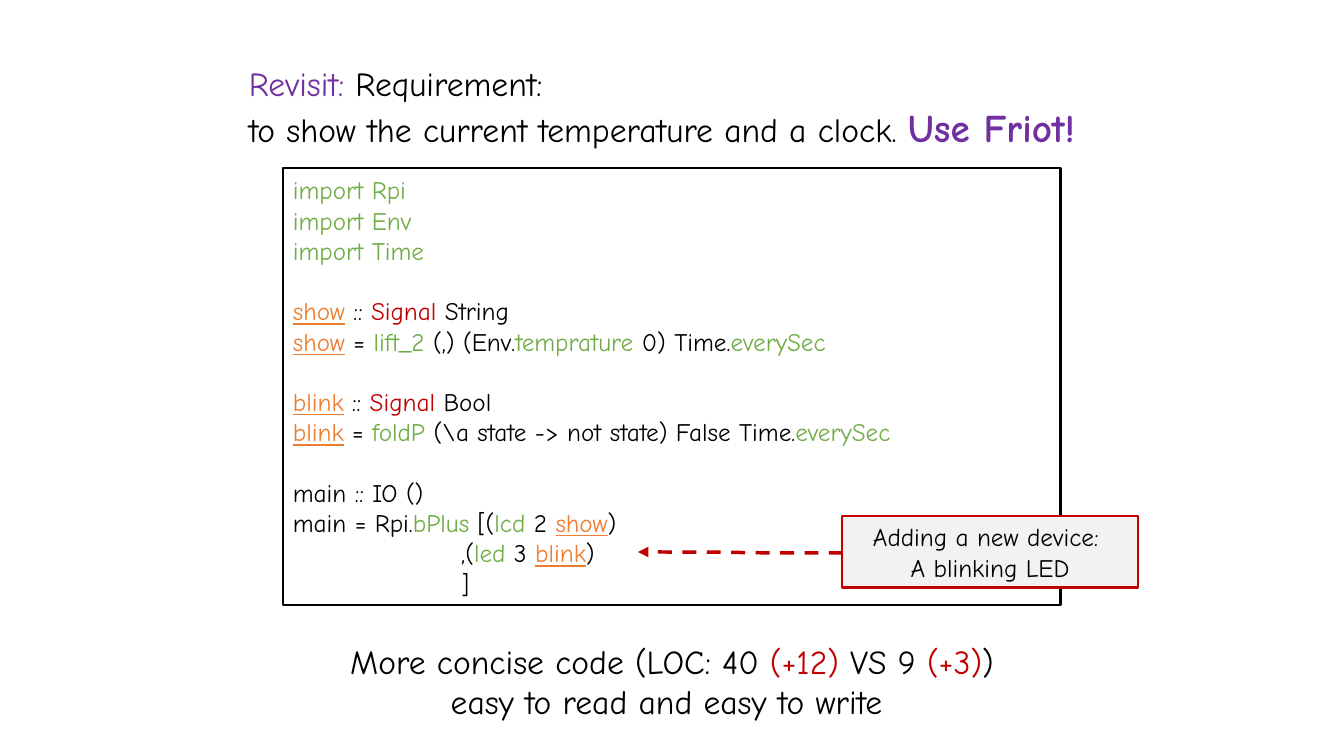
"""Build the slide comparing Friot code size after adding a blinking LED."""
import pptx
import pptx.util
import pptx.dml.color
import pptx.enum.dml
import pptx.enum.shapes
import pptx.enum.text
import lxml.etree
import pptx.oxml.ns

EMU_PER_PX = 914400 / 100.8
BLANK_LINE = pptx.util.Pt(21.6)


def px(*lengths):
    return [pptx.util.Emu(round(length * EMU_PER_PX)) for length in lengths]


def color(hex_string):
    return pptx.dml.color.RGBColor.from_string(hex_string)


STYLES = {
    "plain": {"color": "000000"},
    "library": {"color": "70AD47"},
    "signal": {"color": "C00000"},
    "name": {"color": "ED7D31", "underline": True},
    "revisit": {"color": "7030A0"},
    "friot": {"color": "7030A0", "size": pptx.util.Pt(28), "bold": True},
}

CODE = [
    [("import Rpi", "library")],
    [("import Env", "library")],
    [("import Time", "library")],
    [],
    [("show", "name"), (" :: ", "plain"), ("Signal ", "signal"), ("String", "plain")],
    [("show", "name"), (" = ", "plain"), ("lift_2 ", "library"), ("(,) (Env.", "plain"),
     ("temprature", "library"), (" 0) Time.", "plain"), ("everySec", "library")],
    [],
    [("blink", "name"), (" :: ", "plain"), ("Signal", "signal"), (" Bool", "plain")],
    [("blink", "name"), (" = ", "plain"), ("foldP", "library"),
     (" (\\a state -> not state) False Time.", "plain"), ("everySec", "library")],
    [],
    [("main :: IO ()", "plain")],
    [("main = Rpi.", "plain"), ("bPlus", "library"), (" [(", "plain"), ("lcd", "library"),
     (" 2 ", "plain"), ("show", "name"), (")", "plain")],
    [("                    ,(", "plain"), ("led", "library"), (" 3 ", "plain"),
     ("blink", "name"), (")", "plain")],
    [("                    ]", "plain")],
]
SUMMARY = [
    [("More concise code (LOC: 40 ", "plain"), ("(+12) ", "signal"), ("VS 9 ", "plain"),
     ("(+3)", "signal"), (")", "plain")],
    [("easy to read and easy to write ", "plain")],
]
TITLE = [
    [("Revisit: ", "revisit"), ("Requirement:", "plain")],
    [("to show the current temperature and a clock. ", "plain"), ("Use Friot!", "friot")],
]
CALLOUT = [[("Adding a new device: ", "plain")], [("A blinking LED", "plain")]]

LEFT = pptx.enum.text.PP_ALIGN.LEFT
CENTER = pptx.enum.text.PP_ALIGN.CENTER
BOXES = [
    {"at": (283, 168, 778, 437), "fill": "FFFFFF", "line": "000000",
     "size": 18, "align": LEFT, "lines": CODE},
    {"at": (206, 636, 932, 92), "fill": None, "line": None,
     "size": 24, "align": CENTER, "lines": SUMMARY},
    {"at": (239, 58, 1065, 99), "fill": None, "line": None,
     "size": 24, "align": LEFT, "lines": TITLE},
    {"at": (842, 516, 296, 72), "fill": "F2F2F2", "line": "C00000",
     "size": 18, "align": CENTER, "lines": CALLOUT},
]

presentation = pptx.Presentation()
presentation.slide_width, presentation.slide_height = px(1344, 756)
slide = presentation.slides.add_slide(presentation.slide_layouts[6])

for box in BOXES:
    if box["fill"]:
        shape = slide.shapes.add_shape(
            pptx.enum.shapes.MSO_SHAPE.RECTANGLE, *px(*box["at"]))
        shape.shadow.inherit = False
        shape.fill.solid()
        shape.fill.fore_color.rgb = color(box["fill"])
        shape.line.color.rgb = color(box["line"])
        shape.line.width = pptx.util.Pt(2)
        shape.text_frame.vertical_anchor = pptx.enum.text.MSO_ANCHOR.MIDDLE
    else:
        shape = slide.shapes.add_textbox(*px(*box["at"]))
    frame = shape.text_frame
    frame.word_wrap = True
    paragraph = frame.paragraphs[0]
    space_before = None
    for index, line in enumerate(box["lines"]):
        if not line:
            space_before = BLANK_LINE
            continue
        if index:
            paragraph = frame.add_paragraph()
        paragraph.alignment = box["align"]
        paragraph.space_before = space_before
        space_before = None
        for text, style in line:
            run = paragraph.add_run()
            run.text = text
            values = {"name": "Comic Neue", "size": pptx.util.Pt(box["size"]), **STYLES[style]}
            run.font.color.rgb = color(values.pop("color"))
            for attribute, value in values.items():
                setattr(run.font, attribute, value)

arrow = slide.shapes.add_connector(
    pptx.enum.shapes.MSO_CONNECTOR.CURVE, *px(843, 553, 638, 552))
arrow.line.color.rgb = color("C00000")
arrow.line.width = pptx.util.Pt(2.5)
arrow.line.dash_style = pptx.enum.dml.MSO_LINE.DASH
outline = arrow.line._get_or_add_ln()
lxml.etree.SubElement(outline, pptx.oxml.ns.qn("a:tailEnd"), type="triangle")
lxml.etree.SubElement(arrow._element.spPr, pptx.oxml.ns.qn("a:effectLst"))

presentation.save("out.pptx")
